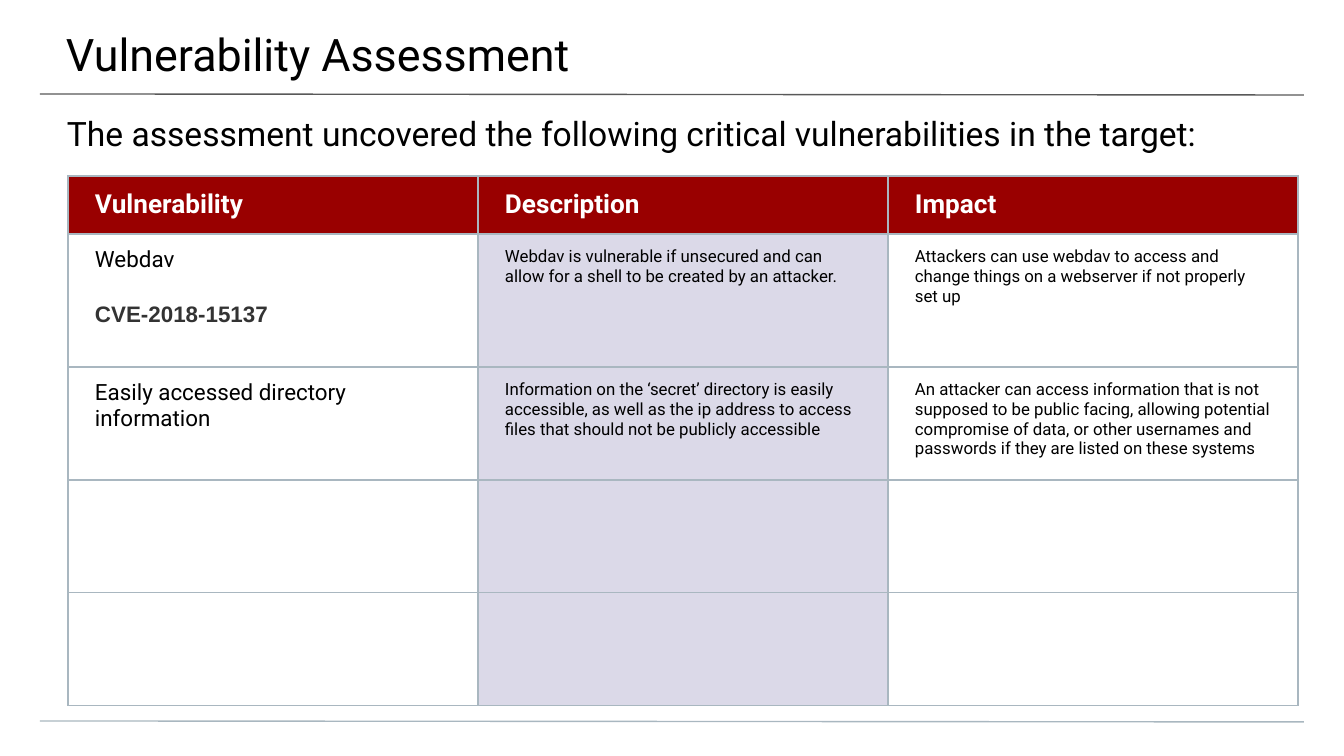
from dataclasses import dataclass

from lxml.etree import SubElement
from pptx import Presentation
from pptx.dml.color import RGBColor
from pptx.enum.shapes import MSO_CONNECTOR
from pptx.enum.text import MSO_ANCHOR, MSO_AUTO_SIZE, PP_ALIGN
from pptx.oxml.ns import qn
from pptx.util import Emu, Pt

TITLE = "Vulnerability Assessment"
INTRO = "The assessment uncovered the following critical vulnerabilities in the target:"
HEADINGS = ["Vulnerability", "Description", "Impact"]
FINDINGS = [
    {
        "name": "Webdav",
        "cve": "CVE-2018-15137",
        "description": "Webdav is vulnerable if unsecured and can allow for a shell "
                       "to be created by an attacker.",
        "impact": "Attackers can use webdav to access and change things on a webserver "
                  "if not properly set up",
    },
    {
        "name": "Easily accessed directory information",
        "description": "Information on the ‘secret’ directory is easily accessible, as well "
                       "as the ip address to access files that should not be publicly accessible",
        "impact": "An attacker can access information that is not supposed to be public facing, "
                  "allowing potential compromise of data, or other usernames and passwords "
                  "if they are listed on these systems",
    },
]


@dataclass(frozen=True)
class Theme:
    font: str = "Roboto"
    cve_font: str = "Arial"
    ink: str = "000000"
    cve_ink: str = "333333"
    heading_ink: str = "FFFFFF"
    heading_fill: str = "990000"
    column_fill: str = "DBD9E8"
    title_rule: str = "595959"
    grid: str = "A9B7C0"
    title_size: int = 24
    intro_size: int = 18
    heading_size: int = 14
    name_size: int = 12
    detail_size: int = 9
    line_width: float = 0.75


THEME = Theme()
SLIDE_WIDTH, SLIDE_HEIGHT = 1344, 756
RULE_LEFT, RULE_RIGHT = 40, 1304
TABLE_LEFT, TABLE_TOP, COLUMN_WIDTH = 68, 176, 410
ROW_HEIGHTS = [58, 133, 113, 113, 113]
CELL_INSETS = (27, 13, 27, 13)


def px(length):
    return Emu(round(length * 914400 / 134.4))


def color(value):
    return RGBColor.from_string(value)


def add_span(para, text, size, ink=THEME.ink, font=THEME.font, bold=False):
    span = para.add_run()
    span.text = text
    span.font.name = font
    span.font.size = Pt(size)
    span.font.bold = bold
    span.font.color.rgb = color(ink)


def set_insets(target, insets):
    """Set the margins of a text frame or a cell: left, top, right, bottom."""
    (target.margin_left, target.margin_top,
     target.margin_right, target.margin_bottom) = map(px, insets)


def fill_placeholder(box, bounds, insets, text, size):
    box.left, box.top, box.width, box.height = map(px, bounds)
    frame = box.text_frame
    frame.word_wrap = True
    frame.auto_size = MSO_AUTO_SIZE.NONE
    frame.vertical_anchor = MSO_ANCHOR.TOP
    set_insets(frame, insets)
    para = frame.paragraphs[0]
    para.alignment = PP_ALIGN.LEFT
    para.space_before = Pt(0)
    add_span(para, text, size)


def add_rule(page, top, ink):
    rule = page.shapes.add_connector(
        MSO_CONNECTOR.STRAIGHT, px(RULE_LEFT), px(top), px(RULE_RIGHT), px(top + 1))
    rule.line.color.rgb = color(ink)
    rule.line.width = Pt(THEME.line_width)
    SubElement(rule._element.spPr, qn("a:effectLst"))


def add_borders(cell):
    properties = cell._tc.get_or_add_tcPr()
    for side in ("lnL", "lnR", "lnT", "lnB"):
        line = SubElement(properties, qn(f"a:{side}"), w=str(Pt(THEME.line_width)))
        SubElement(SubElement(line, qn("a:solidFill")), qn("a:srgbClr"), val=THEME.grid)


def style_cell(cell, fill):
    set_insets(cell, CELL_INSETS)
    add_borders(cell)
    if fill:
        cell.fill.solid()
        cell.fill.fore_color.rgb = color(fill)
    else:
        cell.fill.background()


def add_findings_table(page):
    rows, columns = len(ROW_HEIGHTS), len(HEADINGS)
    table = page.shapes.add_table(
        rows, columns, px(TABLE_LEFT), px(TABLE_TOP),
        px(COLUMN_WIDTH * columns), px(sum(ROW_HEIGHTS))).table
    table.first_row = table.horz_banding = False
    for column in table.columns:
        column.width = px(COLUMN_WIDTH)
    for row, height in zip(table.rows, ROW_HEIGHTS):
        row.height = px(height)

    body_fills = [None, THEME.column_fill, None]
    for row in range(rows):
        for column in range(columns):
            fill = body_fills[column] if row else THEME.heading_fill
            style_cell(table.cell(row, column), fill)

    for column, heading in enumerate(HEADINGS):
        cell = table.cell(0, column)
        cell.vertical_anchor = MSO_ANCHOR.MIDDLE
        add_span(cell.text_frame.paragraphs[0], heading, THEME.heading_size,
                 THEME.heading_ink, bold=True)

    for row, finding in enumerate(FINDINGS, start=1):
        sizes = (THEME.name_size, THEME.detail_size, THEME.detail_size)
        for column, key in enumerate(("name", "description", "impact")):
            para = table.cell(row, column).text_frame.paragraphs[0]
            add_span(para, finding[key], sizes[column])
        if "cve" in finding:
            para = table.cell(row, 0).text_frame.add_paragraph()
            para.line_spacing = 1.5
            para.space_before = Pt(9)
            add_span(para, finding["cve"], THEME.name_size,
                     THEME.cve_ink, THEME.cve_font, bold=True)


def main():
    deck = Presentation()
    deck.slide_width, deck.slide_height = px(SLIDE_WIDTH), px(SLIDE_HEIGHT)
    page = deck.slides.add_slide(deck.slide_layouts[0])
    add_rule(page, 94, THEME.title_rule)
    add_rule(page, 721, THEME.grid)
    fill_placeholder(page.shapes.title, (-1, 0, 1348, 78), (67, 27, 40, 13),
                     TITLE, THEME.title_size)
    fill_placeholder(page.placeholders[1], (0, 100, SLIDE_WIDTH, 54), (67, 13, 67, 0),
                     INTRO, THEME.intro_size)
    add_findings_table(page)
    deck.save("out.pptx")


if __name__ == "__main__":
    main()
